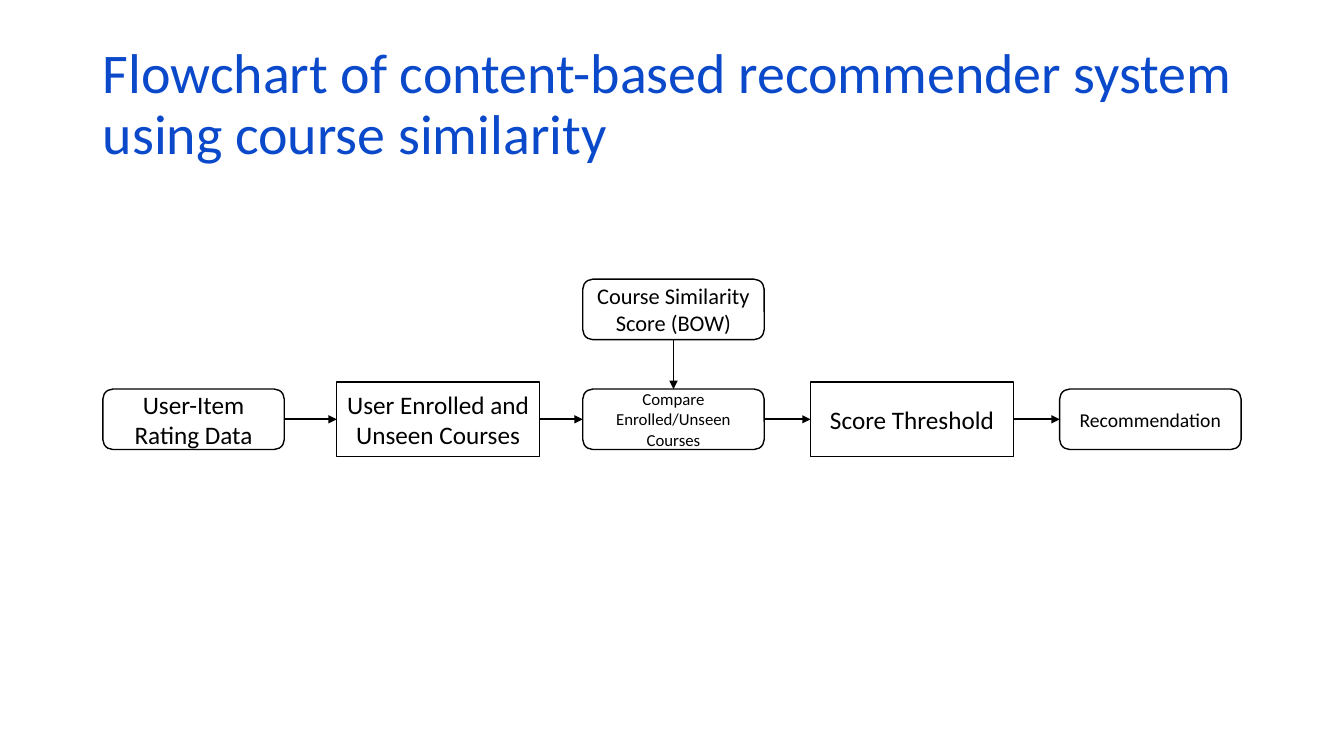
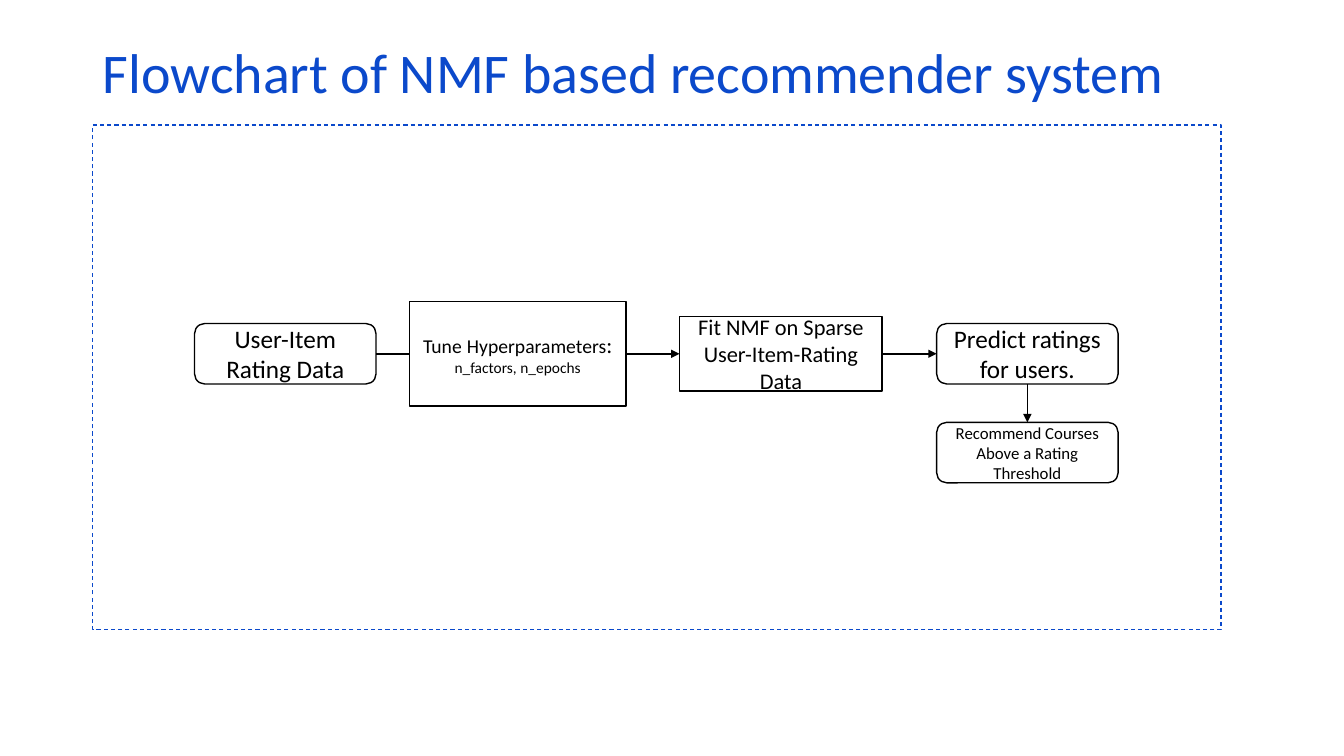
from dataclasses import dataclass

from lxml.etree import SubElement
from pptx import Presentation
from pptx.dml.color import RGBColor
from pptx.enum.dml import MSO_LINE_DASH_STYLE as Dash
from pptx.enum.shapes import MSO_CONNECTOR as Connector, MSO_SHAPE as Preset
from pptx.enum.text import MSO_ANCHOR as Anchor, MSO_AUTO_SIZE as AutoSize, PP_ALIGN as Align
from pptx.oxml.ns import qn
from pptx.util import Inches, Pt

COLORS = {"title": "0B49CB", "ink": "000000", "paper": "FFFFFF"}
FONT = "Calibri"
TITLE_BOX = {"left": Inches(0.92), "top": Inches(0.4), "width": Inches(11.5), "height": Inches(1.45)}
TITLE_FRAME = {"word_wrap": True, "auto_size": AutoSize.NONE, "vertical_anchor": Anchor.TOP}
TITLE_PARAGRAPH = {"alignment": Align.LEFT, "line_spacing": 0.9}
NODE_FRAME = {"word_wrap": True, "vertical_anchor": Anchor.MIDDLE}
TOP, LEFT, BOTTOM, RIGHT = range(4)


@dataclass
class NodeStyle:
    preset: int
    width: float
    height: float
    fill: str = ""


DATA = NodeStyle(Preset.ROUNDED_RECTANGLE, 1.8, 0.6)
PROCESS = NodeStyle(Preset.RECTANGLE, 2.01, 0.74, "paper")
TUNING = NodeStyle(Preset.RECTANGLE, 2.15, 1.04, "paper")


def color(name):
    return RGBColor.from_string(COLORS[name])


def set_attributes(target, values):
    for name, value in values.items():
        setattr(target, name, value)


def add_run(paragraph, text, size, color_name):
    run = paragraph.add_run()
    run.text = text
    set_attributes(run.font, {"name": FONT, "size": Pt(size), "bold": False})
    run.font.color.rgb = color(color_name)


def add_titled_slide(presentation, text):
    slide = presentation.slides.add_slide(presentation.slide_layouts[5])
    title = slide.shapes.title
    set_attributes(title, TITLE_BOX)
    set_attributes(title.text_frame, TITLE_FRAME)
    paragraph = title.text_frame.paragraphs[0]
    set_attributes(paragraph, TITLE_PARAGRAPH)
    add_run(paragraph, text, 40, "title")
    return slide


def add_outlined_shape(slide, preset, left, top, width, height, line_color, line_width, fill=""):
    shape = slide.shapes.add_shape(preset, *map(Inches, (left, top, width, height)))
    shape.shadow.inherit = False
    if fill:
        shape.fill.solid()
        shape.fill.fore_color.rgb = color(fill)
    else:
        shape.fill.background()
    shape.line.color.rgb = color(line_color)
    shape.line.width = Pt(line_width)
    return shape


def add_node(slide, style, left, middle, paragraphs):
    shape = add_outlined_shape(slide, style.preset, left, middle - style.height / 2,
                               style.width, style.height, "ink", 1, style.fill)
    frame = shape.text_frame
    set_attributes(frame, NODE_FRAME)
    for index, runs in enumerate(paragraphs):
        paragraph = frame.add_paragraph() if index else frame.paragraphs[0]
        paragraph.alignment = Align.CENTER
        for text, size in runs:
            add_run(paragraph, text, size, "ink")
    return shape


def join(slide, start, start_side, end, end_side, arrow=True):
    connector = slide.shapes.add_connector(Connector.STRAIGHT, 0, 0, 0, 0)
    connector.begin_connect(start, start_side)
    connector.end_connect(end, end_side)
    connector.line.color.rgb = color("ink")
    connector.line.width = Pt(1.25)
    if arrow:
        SubElement(connector.line._get_or_add_ln(), qn("a:tailEnd"), type="triangle")
    SubElement(connector._element.spPr, qn("a:effectLst"))


def add_chain(slide, left, middle, steps, plain_links=()):
    nodes = []
    for gap, style, paragraphs in steps:
        left += gap
        nodes.append(add_node(slide, style, left, middle, paragraphs))
        left += style.width
    for index, (start, end) in enumerate(zip(nodes, nodes[1:])):
        join(slide, start, RIGHT, end, LEFT, index not in plain_links)
    return nodes


def add_branch(slide, node, offset, paragraphs):
    middle = (node.top + node.height / 2) / Inches(1) + offset
    return add_node(slide, DATA, node.left / Inches(1), middle, paragraphs)


def build_similarity_slide(presentation):
    slide = add_titled_slide(
        presentation, "Flowchart of content-based recommender system using course similarity")
    nodes = add_chain(slide, 1.02, 4.16, [
        (0, DATA, [[("User-Item Rating Data", 18)]]),
        (0.52, PROCESS, [[("User Enrolled and Unseen Courses", 18)]]),
        (0.43, DATA, [[("Compare Enrolled/Unseen Courses", 12)]]),
        (0.46, PROCESS, [[("Score Threshold", 18)]]),
        (0.46, DATA, [[("Recommendation", 14)]]),
    ])
    score = add_branch(slide, nodes[2], -1.09, [[("Course Similarity Score (BOW)", 16)]])
    join(slide, score, BOTTOM, nodes[2], TOP)


def build_nmf_slide(presentation):
    slide = add_titled_slide(presentation, "Flowchart of NMF based recommender system")
    border = add_outlined_shape(slide, Preset.RECTANGLE, 0.92, 1.24, 11.19, 5.01, "title", 0.75)
    border.line.dash_style = Dash.DASH
    nodes = add_chain(slide, 1.93, 3.51, [
        (0, DATA, [[("User-Item Rating Data", 18)]]),
        (0.33, TUNING, [
            [("Tune", 14), (" ", 16), ("Hyperparameters", 14), (":", 16)],
            [("n_factors, n_epochs", 11)],
        ]),
        (0.53, PROCESS, [[("Fit NMF on Sparse User-Item-Rating Data", 16)]]),
        (0.54, DATA, [[("Predict ratings for users.", 18)]]),
    ], plain_links=(0,))
    recommend = add_branch(slide, nodes[-1], 0.98, [[("Recommend Courses Above a Rating Threshold", 12)]])
    join(slide, nodes[-1], BOTTOM, recommend, TOP)


def main():
    presentation = Presentation()
    set_attributes(presentation, {"slide_width": Inches(13.33), "slide_height": Inches(7.5)})
    build_similarity_slide(presentation)
    build_nmf_slide(presentation)
    presentation.save("out.pptx")


if __name__ == "__main__":
    main()
